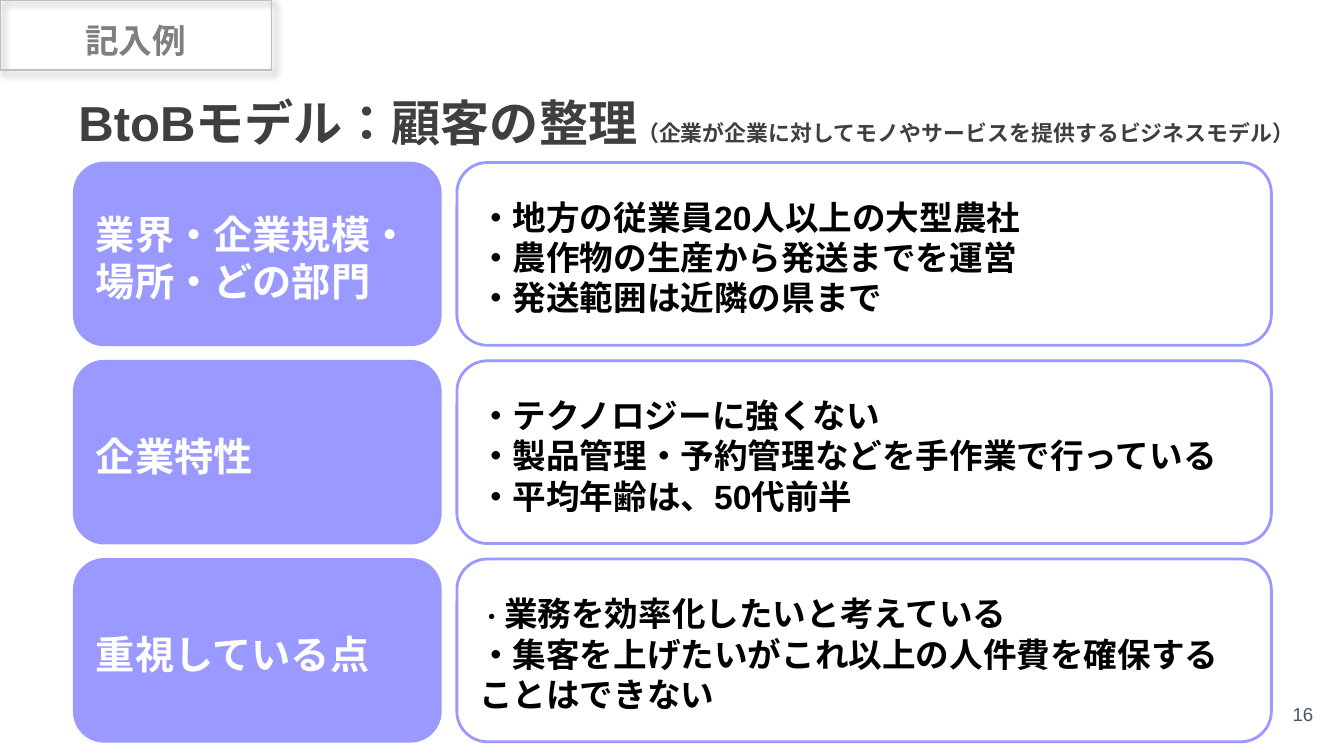
from lxml import etree
from pptx import Presentation
from pptx.dml.color import RGBColor
from pptx.enum.lang import MSO_LANGUAGE_ID
from pptx.enum.shapes import MSO_SHAPE
from pptx.enum.text import MSO_ANCHOR, PP_ALIGN
from pptx.oxml import parse_xml
from pptx.oxml.ns import nsdecls, qn
from pptx.util import Inches, Pt

FONT = "Arial"
LAVENDER = RGBColor(0x99, 0x99, 0xFF)
WHITE = RGBColor(0xFF, 0xFF, 0xFF)
BLACK = RGBColor(0x00, 0x00, 0x00)
CHARCOAL = RGBColor(0x3F, 0x3F, 0x3F)
GRAY = RGBColor(0x7F, 0x7F, 0x7F)
LIGHT_GRAY = RGBColor(0xBF, 0xBF, 0xBF)
SLATE = RGBColor(0x44, 0x54, 0x6A)

ROWS = [
    (["業界・企業規模・", "場所・どの部門"],
     ["・地方の従業員20人以上の大型農社",
      "・農作物の生産から発送までを運営",
      "・発送範囲は近隣の県まで"]),
    (["企業特性"],
     ["・テクノロジーに強くない",
      "・製品管理・予約管理などを手作業で行っている",
      "・平均年齢は、50代前半"]),
    (["重視している点"],
     [[("・", 13.5, False), ("業務を効率化したいと考えている", 18, True)],
      "・集客を上げたいがこれ以上の人件費を確保することはできない"]),
]


def add_run(p, text, size, color, bold=True):
    r = p.add_run()
    r.text = text
    r.font.size = Pt(size)
    r.font.bold = bold
    r.font.color.rgb = color
    r.font.name = FONT
    r.font.language_id = MSO_LANGUAGE_ID.JAPANESE
    ea = etree.Element(qn("a:ea"), typeface=FONT)
    r.font._element.find(qn("a:latin")).addnext(ea)


def set_text(sp, lines, size, color, bold=True, align=PP_ALIGN.LEFT,
             anchor=MSO_ANCHOR.MIDDLE, insets=(0.1, 0.05, 0.1, 0)):
    """Each line is a string or a list of (text, size, bold) runs."""
    tf = sp.text_frame
    tf.word_wrap = True
    tf.vertical_anchor = anchor
    (tf.margin_left, tf.margin_top,
     tf.margin_right, tf.margin_bottom) = map(Inches, insets)
    for i, line in enumerate(lines):
        p = tf.add_paragraph() if i else tf.paragraphs[0]
        p.alignment = align
        runs = [(line, size, bold)] if isinstance(line, str) else line
        for text, run_size, run_bold in runs:
            add_run(p, text, run_size, color, run_bold)
    return tf


def add_box(s, kind, left, top, width, height, line, line_width, fill=None):
    sp = s.shapes.add_shape(kind, Inches(left), Inches(top),
                            Inches(width), Inches(height))
    sp.shadow.inherit = False
    if fill is None:
        sp.fill.background()
    else:
        sp.fill.solid()
        sp.fill.fore_color.rgb = fill
    sp.line.color.rgb = line
    sp.line.width = Pt(line_width)
    return sp


def add_textbox(s, left, top, width, height):
    return s.shapes.add_textbox(Inches(left), Inches(top),
                                Inches(width), Inches(height))


def add_row(s, left, top, width, height, heading, points):
    heading_width, gap = 2.73, 0.12
    offset = heading_width + gap
    card = add_box(s, MSO_SHAPE.ROUNDED_RECTANGLE, left, top,
                   heading_width, height, LAVENDER, 1, LAVENDER)
    set_text(card, heading, 21, WHITE)
    card = add_box(s, MSO_SHAPE.ROUNDED_RECTANGLE, left + offset, top,
                   width - offset, height, LAVENDER, 1.5)
    set_text(card, points, 18, BLACK)


def add_rows(s, left, top, width, height):
    row_height = 1.36
    pitch = (height - row_height) / (len(ROWS) - 1)
    for i, (heading, points) in enumerate(ROWS):
        add_row(s, left, top + i * pitch, width, row_height, heading, points)


def add_title(s, left, top, width, height):
    runs = [("BtoBモデル：顧客の整理", 26.3, True),
            ("（企業が企業に対してモノやサービスを提供するビジネスモデル）", 11.7, True)]
    tf = set_text(add_textbox(s, left, top, width, height), [runs], 26.3,
                  CHARCOAL, align=PP_ALIGN.CENTER, anchor=MSO_ANCHOR.BOTTOM,
                  insets=(0, 0, 0, 0))
    tf.paragraphs[0].line_spacing = 0.9


def add_tag(s, left, top, width, height):
    frame = add_box(s, MSO_SHAPE.RECTANGLE, left, top, width, height,
                    LIGHT_GRAY, 1)
    effects = frame._element.spPr.find(qn("a:effectLst"))
    effects.append(parse_xml(
        f'<a:outerShdw {nsdecls("a")} blurRad="{Pt(4)}" dist="{Pt(3)}" '
        'dir="2700000" algn="tl" rotWithShape="0"><a:srgbClr val="000000">'
        '<a:alpha val="40000"/></a:srgbClr></a:outerShdw>'))
    label = add_textbox(s, left + 0.26, top + 0.1, width - 0.52, 0.4)
    set_text(label, ["記入例"], 18, GRAY, align=PP_ALIGN.CENTER,
             anchor=MSO_ANCHOR.TOP, insets=(0.1, 0.05, 0.1, 0.05))


def add_page_number(s, left, top, width, height):
    set_text(add_textbox(s, left, top, width, height), ["16"], 10, SLATE,
             bold=False, align=PP_ALIGN.RIGHT, insets=(0.1, 0.1, 0.1, 0.1))


def main():
    prs = Presentation()
    prs.slide_width = Inches(10)
    prs.slide_height = prs.slide_width * 9 // 16
    s = prs.slides.add_slide(prs.slide_layouts[6])
    add_page_number(s, 9.27, 5.1, 0.6, 0.43)
    add_rows(s, 0.55, 1.21, 8.91, 4.31)
    add_title(s, 0.36, 0.61, 9.5, 0.52)
    add_tag(s, 0, 0, 2.02, 0.52)
    prs.save("out.pptx")


if __name__ == "__main__":
    main()
